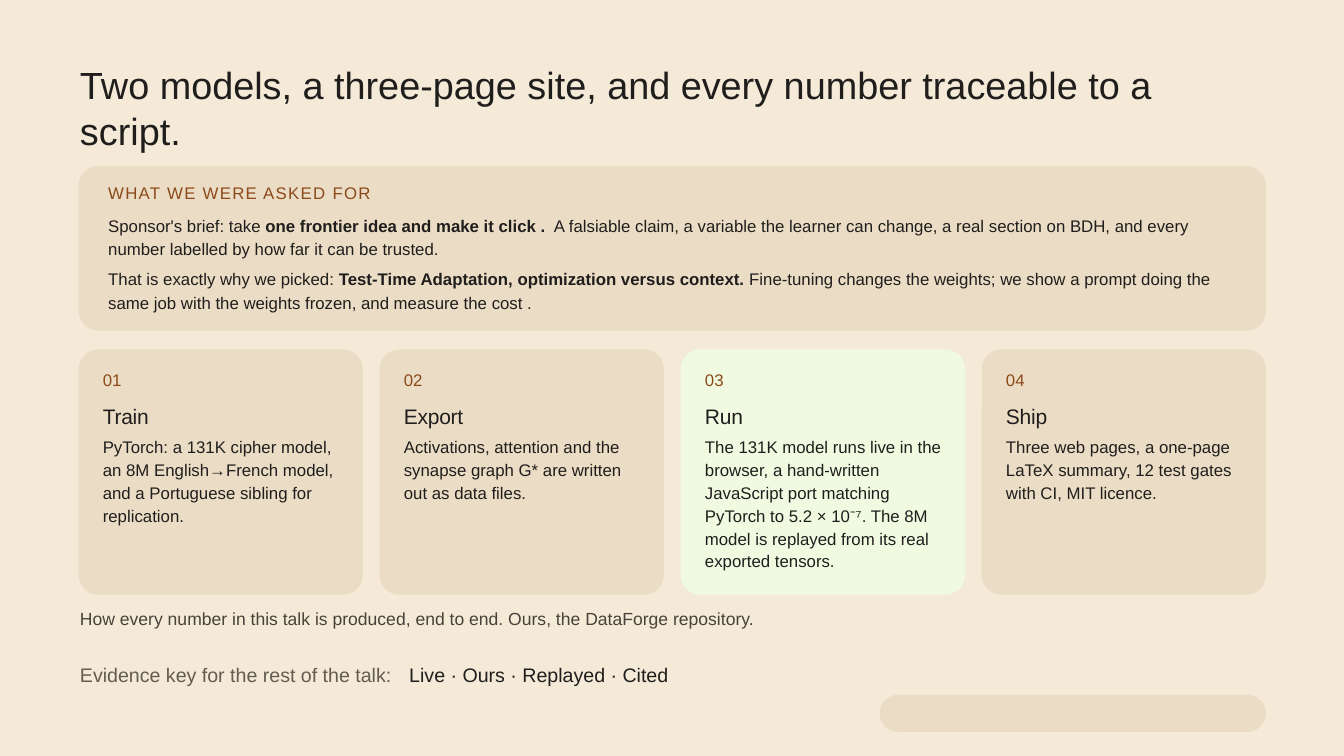
"""Build the project overview slide: the brief, four pipeline steps and the evidence key."""
from pptx import Presentation
from pptx.dml.color import RGBColor
from pptx.enum.shapes import MSO_SHAPE
from pptx.enum.text import MSO_ANCHOR, MSO_AUTO_SIZE, PP_ALIGN
from pptx.util import Inches, Pt

ROUNDED = MSO_SHAPE.ROUNDED_RECTANGLE
TOP = MSO_ANCHOR.TOP
LEFT = PP_ALIGN.LEFT
FIXED = MSO_AUTO_SIZE.NONE

TITLE = "Two models, a three-page site, and every number traceable to a script."
BRIEF_HEADING = "WHAT WE WERE ASKED FOR"
BRIEF = [
    [
        ("Sponsor's brief: take ", False),
        ("one frontier idea and make it click . ", True),
        (" A falsiable claim, a variable the learner can change, a real section on BDH, "
         "and every number labelled by how far it can be trusted.", False),
    ],
    [
        ("That is exactly why we picked: ", False),
        ("Test-Time Adaptation, optimization versus context. ", True),
        ("Fine-tuning changes the weights; we show a prompt doing the same job with the "
         "weights frozen, and measure the cost .", False),
    ],
]
STEPS = [
    ("Train", "PyTorch: a 131K cipher model, an 8M English→French model, and a Portuguese "
              "sibling for replication.", "panel"),
    ("Export", "Activations, attention and the synapse graph G* are written out as data files.",
     "panel"),
    ("Run", "The 131K model runs live in the browser, a hand-written JavaScript port matching "
            "PyTorch to 5.2 × 10⁻⁷. The 8M model is replayed from its real exported tensors.",
     "highlight"),
    ("Ship", "Three web pages, a one-page LaTeX summary, 12 test gates with CI, MIT licence.",
     "panel"),
]
CAPTION = "How every number in this talk is produced, end to end. Ours, the DataForge repository."
KEY_LABEL = "Evidence key for the rest of the talk:"
KEY_VALUES = "Live · Ours · Replayed · Cited"

THEME = {
    "font": "Arial",
    "colours": {
        "background": "F5EAD8", "panel": "EBDDC5", "highlight": "F0FAE1",
        "ink": "201E1D", "accent": "8C491A", "caption": "474238", "muted": "645C50",
    },
    "styles": {
        "title": {"size": 40.5, "line": 48.6, "colour": "ink"},
        "heading": {"size": 18, "line": 27.1, "colour": "accent", "tracking": 1.4},
        "brief": {"size": 18, "line": 24.9, "colour": "ink"},
        "number": {"size": 18, "line": 28.7, "colour": "accent"},
        "step": {"size": 22.5, "line": 26.4, "colour": "ink", "tracking": -0.3},
        "body": {"size": 18, "line": 24.5, "colour": "ink"},
        "caption": {"size": 18.8, "line": 25.9, "colour": "caption"},
        "key_label": {"size": 21, "line": 32.5, "colour": "muted"},
        "key_values": {"size": 21, "line": 32.5, "colour": "ink"},
    },
}

MARGIN = 1.17
CONTENT_WIDTH = 17.67
TEXT_LEFT = 1.19
RADIUS = 0.29
CARD_GAP = 0.25
CARD_TOP, CARD_HEIGHT = 5.2, 3.65
CARD_INSET = 0.36


def colour(name):
    """Return the theme colour of that name."""
    return RGBColor.from_string(THEME["colours"][name])


def place(shape, box):
    """Move and size a shape to a box in inches."""
    for name, value in zip(("left", "top", "width", "height"), box):
        setattr(shape, name, Inches(value))


def write(shape, runs, style_name):
    """Fill a shape with one paragraph of (text, bold) runs."""
    style = THEME["styles"][style_name]
    frame = shape.text_frame
    frame_format = {
        "margin_left": 0, "margin_top": 0, "margin_right": 0, "margin_bottom": 0,
        "word_wrap": True, "auto_size": FIXED, "vertical_anchor": TOP,
    }
    for name, value in frame_format.items():
        setattr(frame, name, value)
    paragraph = frame.paragraphs[0]
    paragraph.alignment = LEFT
    paragraph.line_spacing = Pt(style["line"])
    for text, bold in runs:
        run = paragraph.add_run()
        run.text = text
        font_format = {"name": THEME["font"], "size": Pt(style["size"]), "bold": bold}
        for name, value in font_format.items():
            setattr(run.font, name, value)
        run.font.color.rgb = colour(style["colour"])
        if "tracking" in style:
            run._r.get_or_add_rPr().set("spc", str(round(style["tracking"] * 100)))


def add_text(slide, box, text, style_name):
    """Add a text box holding a string or a list of runs."""
    runs = [(text, False)] if isinstance(text, str) else text
    shape = slide.shapes.add_textbox(*map(Inches, box))
    write(shape, runs, style_name)


def add_panel(slide, box, fill, radius=RADIUS):
    """Add a plain rounded panel."""
    shape = slide.shapes.add_shape(ROUNDED, *map(Inches, box))
    shape.adjustments[0] = min(radius / min(box[2:]), 0.5)
    shape.shadow.inherit = False
    shape.fill.solid()
    shape.fill.fore_color.rgb = colour(fill)
    shape.line.fill.background()


def add_brief(slide):
    """Add the panel with the brief."""
    add_panel(slide, (MARGIN, 2.47, CONTENT_WIDTH, 2.45), "panel")
    add_text(slide, (1.61, 2.65, 16.68, 0.46), BRIEF_HEADING, "heading")
    for index, runs in enumerate(BRIEF):
        add_text(slide, (1.61, 3.16 + 0.8 * index, 16.68, 0.69), runs, "brief")


def add_steps(slide):
    """Add the row of equal step cards."""
    width = (CONTENT_WIDTH - CARD_GAP * (len(STEPS) - 1)) / len(STEPS)
    for index, (name, body, fill) in enumerate(STEPS):
        left = MARGIN + index * (width + CARD_GAP)
        add_panel(slide, (left, CARD_TOP, width, CARD_HEIGHT), fill)
        rows = [
            (5.4, 0.47, f"{index + 1:02}", "number"),
            (6.01, 0.35, name, "step"),
            (6.46, 2.14, body, "body"),
        ]
        for top, height, text, style_name in rows:
            add_text(slide, (left + CARD_INSET, top, 3.61, height), text, style_name)


def main():
    """Build and save the presentation."""
    presentation = Presentation()
    presentation.slide_width = Inches(20)
    presentation.slide_height = Inches(11.25)
    slide = presentation.slides.add_slide(presentation.slide_layouts[5])
    slide.background.fill.solid()
    slide.background.fill.fore_color.rgb = colour("background")
    title = slide.shapes.title
    place(title, (TEXT_LEFT, 0.92, 16.68, 1.29))
    write(title, [(TITLE, False)], "title")
    add_brief(slide)
    add_steps(slide)
    add_text(slide, (TEXT_LEFT, 9, 13.9, 0.41), CAPTION, "caption")
    add_text(slide, (TEXT_LEFT, 9.76, 4.88, 0.52), KEY_LABEL, "key_label")
    add_text(slide, (6.09, 9.76, 4.04, 0.52), KEY_VALUES, "key_values")
    add_panel(slide, (13.09, 10.34, 5.75, 0.55), "panel")
    presentation.save("out.pptx")


if __name__ == "__main__":
    main()
